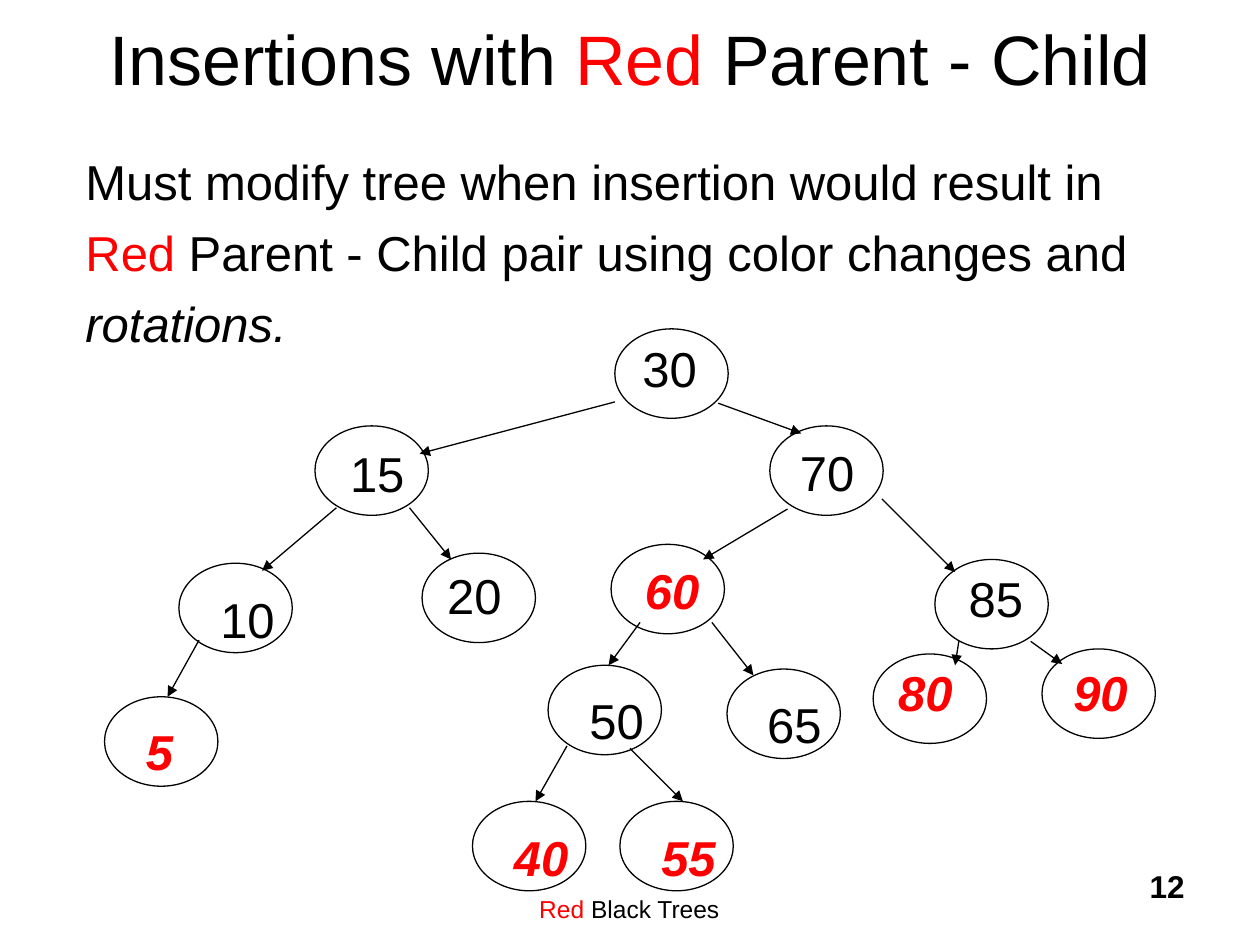
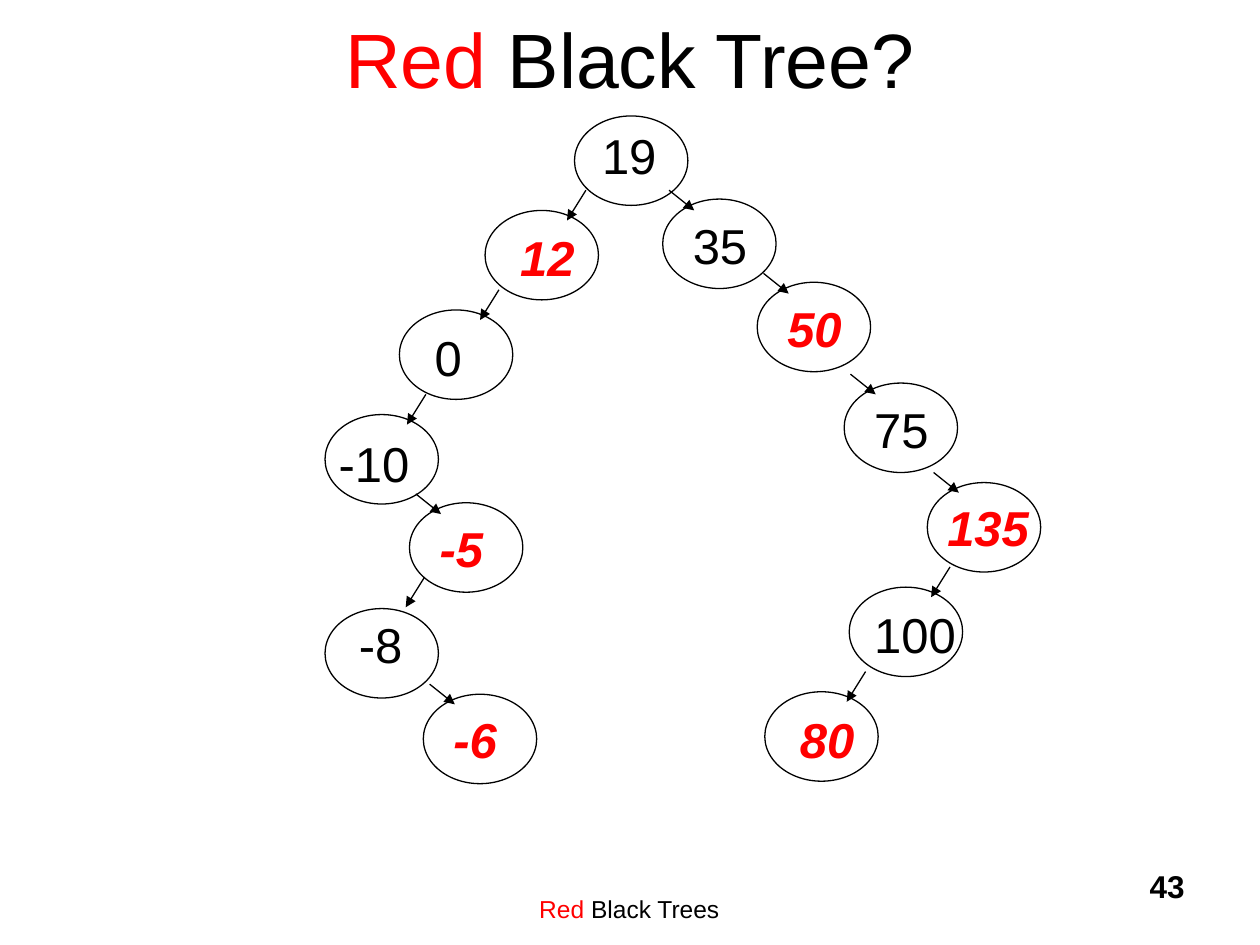
from collections import namedtuple
from dataclasses import dataclass

import lxml.etree
import pptx
import pptx.dml.color
import pptx.enum.shapes
import pptx.enum.text
import pptx.oxml
import pptx.oxml.ns
import pptx.util

Inches = pptx.util.Inches
Pt = pptx.util.Pt
ALIGN = pptx.enum.text.PP_ALIGN
ANCHOR = pptx.enum.text.MSO_ANCHOR

Box = namedtuple("Box", "left top width height")
Node = namedtuple("Node", "value left top label_dx label_dy red", defaults=(False,))
Edge = namedtuple("Edge", "left top dx dy")


@dataclass(frozen=True)
class Theme:
    font: str = "Arial"
    black: str = "000000"
    red: str = "FF0000"
    white: str = "FFFFFF"
    body_size: int = 28
    footer_size: int = 14
    number_size: int = 18
    line_width: float = 0.74
    body_gap: float = 7
    node_width: float = 0.9
    node_height: float = 0.71
    label_height: float = 0.57


THEME = Theme()
TITLE_BOX = Box(0.75, -0.17, 8.5, 1.25)
FOOTER_BOX = Box(3.08, 6.83, 3.83, 0.5)
NUMBER_BOX = Box(7.42, 6.83, 2.08, 0.5)


def color(code):
    return pptx.dml.color.RGBColor.from_string(code)


def red(words):
    return words, {"ink": THEME.red}


def add_text(slide, box, paragraphs, size=THEME.body_size, ink=THEME.black, bold=False,
             italic=False, align=ALIGN.LEFT, anchor=ANCHOR.TOP, wrap=True, before=0,
             bottom_inset=0.05):
    holder = slide.shapes.add_textbox(*map(Inches, box))
    frame = holder.text_frame
    frame.word_wrap = wrap
    frame.vertical_anchor = anchor
    frame.margin_bottom = Inches(bottom_inset)
    if not wrap:
        frame.auto_size = pptx.enum.text.MSO_AUTO_SIZE.SHAPE_TO_FIT_TEXT
    for index, pieces in enumerate(paragraphs):
        paragraph = frame.add_paragraph() if index else frame.paragraphs[0]
        paragraph.alignment = align
        paragraph.space_before = Pt(before)
        for piece in pieces:
            words, changes = piece if isinstance(piece, tuple) else (piece, {})
            run = paragraph.add_run()
            run.text = words
            run.font.name = THEME.font
            run.font.size = Pt(size)
            run.font.bold = bold
            run.font.italic = changes.get("italic", italic)
            run.font.color.rgb = color(changes.get("ink", ink))


def add_node(slide, box, node):
    left, top = box.left + node.left, box.top + node.top
    circle = slide.shapes.add_shape(
        pptx.enum.shapes.MSO_SHAPE.OVAL, Inches(left), Inches(top),
        Inches(THEME.node_width), Inches(THEME.node_height))
    circle.shadow.inherit = False
    circle.fill.background()
    circle.line.color.rgb = color(THEME.black)
    circle.line.width = Pt(THEME.line_width)
    label = str(node.value)
    label_width = 0.2 + sum(0.13 if sign == "-" else 0.22 for sign in label)
    add_text(slide, Box(left + node.label_dx, top + node.label_dy, label_width, THEME.label_height),
             [[label]], ink=THEME.red if node.red else THEME.black,
             bold=node.red, italic=node.red, wrap=False, before=THEME.body_gap)


def add_edge(slide, box, edge):
    left, top = box.left + edge.left, box.top + edge.top
    arrow = slide.shapes.add_connector(
        pptx.enum.shapes.MSO_CONNECTOR.STRAIGHT, Inches(left), Inches(top),
        Inches(left + edge.dx), Inches(top + edge.dy))
    arrow.line.color.rgb = color(THEME.black)
    arrow.line.width = Pt(THEME.line_width)
    qn = pptx.oxml.ns.qn
    lxml.etree.SubElement(arrow.line._get_or_add_ln(), qn("a:tailEnd"), type="triangle")
    lxml.etree.SubElement(arrow._element.spPr, qn("a:effectLst"))


def add_tree(slide, box, nodes, edges):
    for node in nodes:
        add_node(slide, box, node)
    for edge in edges:
        add_edge(slide, box, edge)


def add_frame(deck, title, title_size, number):
    slide = deck.slides.add_slide(deck.slide_layouts[6])
    slide.background.fill.solid()
    slide.background.fill.fore_color.rgb = color(THEME.white)
    add_text(slide, FOOTER_BOX, [[red("Red"), " Black Trees"]], size=THEME.footer_size,
             align=ALIGN.CENTER, anchor=ANCHOR.BOTTOM, bottom_inset=0)
    add_text(slide, NUMBER_BOX, [[str(number)]], size=THEME.number_size, bold=True,
             align=ALIGN.RIGHT)
    add_text(slide, TITLE_BOX, [title], size=title_size, align=ALIGN.CENTER,
             anchor=ANCHOR.MIDDLE)
    return slide


def insertion_slide(deck):
    slide = add_frame(deck, ["Insertions with ", red("Red"), " Parent - Child"], 40, 12)
    nodes = [
        Node(30, 4.38, 0.11, 0.12, 0.03),
        Node(15, 2.0, 0.88, 0.18, 0.09),
        Node(70, 5.61, 0.88, 0.14, 0.08),
        Node(10, 0.92, 1.97, 0.23, 0.16),
        Node(20, 2.85, 1.89, 0.1, 0.05),
        Node(60, 4.35, 1.82, 0.17, 0.08, True),
        Node(85, 6.92, 1.94, 0.17, 0.02),
        Node(5, 0.33, 3.03, 0.23, 0.15, True),
        Node(50, 3.85, 2.78, 0.23, 0.15),
        Node(65, 5.27, 2.81, 0.22, 0.15),
        Node(80, 6.43, 2.69, 0.1, 0.02, True),
        Node(90, 7.77, 2.65, 0.15, 0.06, True),
        Node(40, 3.25, 3.86, 0.23, 0.16, True),
        Node(55, 4.42, 3.86, 0.23, 0.16, True),
    ]
    edges = [
        Edge(4.38, 0.69, -1.55, 0.41),
        Edge(5.2, 0.7, 0.66, 0.24),
        Edge(2.17, 1.53, -0.59, 0.5),
        Edge(2.75, 1.53, 0.33, 0.41),
        Edge(5.75, 1.54, -0.67, 0.4),
        Edge(6.5, 1.46, 0.58, 0.58),
        Edge(1.08, 2.58, -0.25, 0.45),
        Edge(4.58, 2.44, -0.25, 0.34),
        Edge(5.15, 2.44, 0.33, 0.42),
        Edge(7.11, 2.59, -0.03, 0.19),
        Edge(7.68, 2.59, 0.25, 0.18),
        Edge(4.0, 3.42, -0.25, 0.44),
        Edge(4.5, 3.44, 0.42, 0.42),
    ]
    add_tree(slide, Box(0.5, 2.5, 8.7, 4.6), nodes, edges)
    add_text(slide, Box(0.58, 1.15, 8.6, 1.7), [
        ["Must modify tree when insertion would result in "],
        [red("Red"), " Parent - Child pair using color changes and"],
        [("rotations.", {"italic": True})],
    ], before=THEME.body_gap)


def question_slide(deck):
    slide = add_frame(deck, [red("Red"), " Black Tree?"], 44, 43)
    nodes = [
        Node(19, 2.06, 0.02, 0.12, 0.03),
        Node(12, 1.35, 0.77, 0.18, 0.09, True),
        Node(0, 0.67, 1.56, 0.18, 0.09),
        Node(-10, 0.08, 2.39, 0.01, 0.1),
        Node(-5, 0.75, 3.09, 0.14, 0.08, True),
        Node(-8, 0.08, 3.93, 0.17, 0),
        Node(-6, 0.86, 4.61, 0.14, 0.07, True),
        Node(35, 2.76, 0.68, 0.14, 0.08),
        Node(50, 3.51, 1.34, 0.14, 0.08, True),
        Node(75, 4.2, 2.14, 0.14, 0.08),
        Node(135, 4.86, 2.93, 0.06, 0.07, True),
        Node(100, 4.24, 3.76, 0.1, 0.09),
        Node(80, 3.57, 4.59, 0.18, 0.09, True),
    ]
    left_starts = [(2.15, 0.61), (1.46, 1.4), (0.88, 2.23), (0.87, 3.68), (5.04, 3.6), (4.37, 4.43)]
    right_starts = [(2.81, 0.61), (3.56, 1.27), (4.25, 2.07), (4.91, 2.85), (0.8, 3.02), (0.91, 4.53)]
    edges = [Edge(*start, -0.15, 0.24) for start in left_starts]
    edges += [Edge(*start, 0.2, 0.16) for start in right_starts]
    add_tree(slide, Box(2.5, 0.9, 5.8, 5.4), nodes, edges)


deck = pptx.Presentation()
deck.slide_width, deck.slide_height = Inches(10), Inches(7.5)
insertion_slide(deck)
question_slide(deck)
deck.save("out.pptx")
